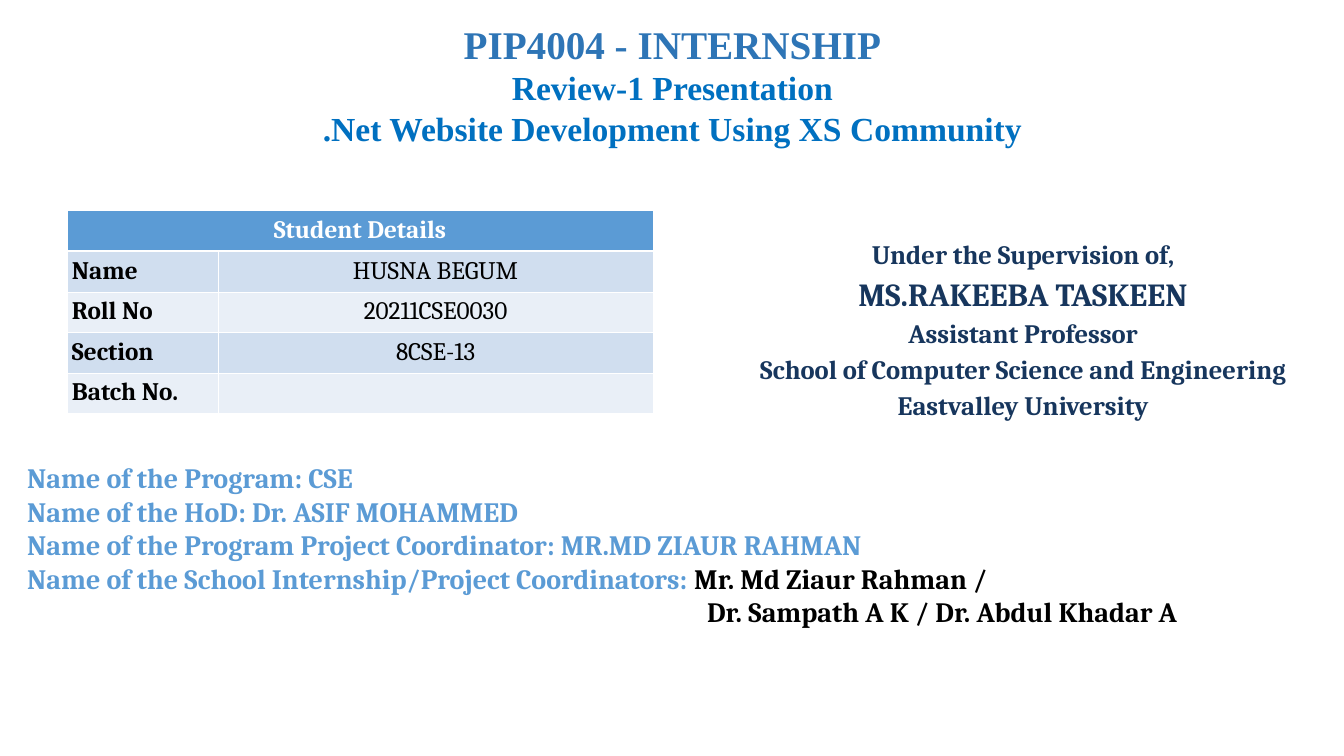
import pptx
import pptx.util
import pptx.dml.color
import pptx.enum.text
import pptx.oxml.ns
import lxml.etree

Pt = pptx.util.Pt
ALIGN = pptx.enum.text.PP_ALIGN
INSET = 3.6
SKY, BLUE, NAVY = "5B9BD5", "0070C0", "17365D"
BLACK, WHITE = "000000", "FFFFFF"
BANDS = ("E9EFF7", "D0DEEF")


def color(value):
    return pptx.dml.color.RGBColor.from_string(value)


def add_span(para, text, size=20, font="Cambria", fill=BLACK, bold=True):
    span = para.add_run()
    span.text = text
    span.font.size = Pt(size)
    span.font.name = font
    span.font.bold = bold
    span.font.color.rgb = color(fill)


def add_para(frame, text, align=ALIGN.LEFT, before=0, **style):
    """Fill the first paragraph if it is still empty, else append one."""
    para = frame.paragraphs[0] if not frame.text else frame.add_paragraph()
    para.alignment = align
    para.space_before = Pt(before)
    add_span(para, text, **style)
    return para


def set_insets(part):
    part.margin_left = part.margin_right = Pt(INSET)
    part.margin_top = part.margin_bottom = Pt(INSET)


def add_frame(page, left, top, width, height):
    frame = page.shapes.add_textbox(Pt(left), Pt(top), Pt(width), Pt(height)).text_frame
    frame.word_wrap = True
    set_insets(frame)
    return frame


def set_border(cell, side, width):
    properties = cell._tc.get_or_add_tcPr()
    line = lxml.etree.Element(pptx.oxml.ns.qn("a:ln" + side), w=str(Pt(width)))
    solid = lxml.etree.SubElement(line, pptx.oxml.ns.qn("a:solidFill"))
    lxml.etree.SubElement(solid, pptx.oxml.ns.qn("a:srgbClr"), val=WHITE)
    properties.append(line)


def add_heading(page, left, top, width, height):
    frame = add_frame(page, left, top, width, height)
    style = dict(align=ALIGN.CENTER, font="Times New Roman")
    add_para(frame, "PIP4004 - INTERNSHIP", size=28, fill="2E75B6", **style)
    for text in ("Review-1 Presentation", ".Net Website Development Using XS Community"):
        add_para(frame, text, size=24, fill=BLUE, **style)


def add_student_table(page, left, top, width, height):
    details = [
        ("Student Details", ""),
        ("Name", "HUSNA BEGUM"),
        ("Roll No", "20211CSE0030"),
        ("Section", "8CSE-13"),
        ("Batch No.", ""),
    ]
    table = page.shapes.add_table(
        len(details), 2, Pt(left), Pt(top), Pt(width), Pt(height)).table
    label_width = 108
    table.columns[0].width = Pt(label_width)
    table.columns[1].width = Pt(width - label_width)
    table.cell(0, 0).merge(table.cell(0, 1))

    for row, texts in enumerate(details):
        for column, text in enumerate(texts):
            cell = table.cell(row, column)
            header = row == 0
            set_insets(cell)
            # Borders come before the fill in the cell properties
            for side in "LRTB":
                thick = (row, side) in ((0, "B"), (1, "T"))
                set_border(cell, side, 1.47 if thick else 0.45)
            cell.fill.solid()
            cell.fill.fore_color.rgb = color(SKY if header else BANDS[row % 2])
            if text:
                add_para(cell.text_frame, text, size=18,
                         align=ALIGN.CENTER if header or column else ALIGN.LEFT,
                         fill=WHITE if header else BLACK, bold=column == 0)


def add_supervisor(page, left, top, width, height):
    frame = add_frame(page, left, top, width, height)
    lines = [
        ("Under the Supervision of,", 19),
        ("MS.RAKEEBA TASKEEN", 23),
        ("Assistant Professor", 19),
        ("School of Computer Science and Engineering", 19),
        ("Eastvalley University", 19),
    ]
    for index, (text, size) in enumerate(lines):
        add_para(frame, text, size=size, fill=NAVY, align=ALIGN.CENTER,
                 before=3 if index else 0)


def add_coordinators(page, left, top, width, height):
    frame = add_frame(page, left, top, width, height)
    for text in (
        "Name of the Program: CSE",
        "Name of the HoD: Dr. ASIF MOHAMMED",
        "Name of the Program Project Coordinator: MR.MD ZIAUR RAHMAN",
        "Name of the School Internship/Project Coordinators: ",
    ):
        para = add_para(frame, text, fill=SKY)
    add_span(para, "Mr. Md Ziaur Rahman /")
    # The second line of names is indented to sit under the first
    para = add_para(frame, "Dr. Sampath A K / Dr. Abdul Khadar A")
    para._p.get_or_add_pPr().set("marL", str(Pt(486)))


def main():
    deck = pptx.Presentation()
    deck.slide_width, deck.slide_height = Pt(960.5), Pt(540)
    page = deck.slides.add_slide(deck.slide_layouts[6])
    add_supervisor(page, 517.7, 166.3, 427, 159)
    add_coordinators(page, 15.8, 325.4, 930, 151)
    add_heading(page, 70, 11, 821, 124)
    add_student_table(page, 47.8, 150.5, 419, 145)
    deck.save("out.pptx")


if __name__ == "__main__":
    main()
